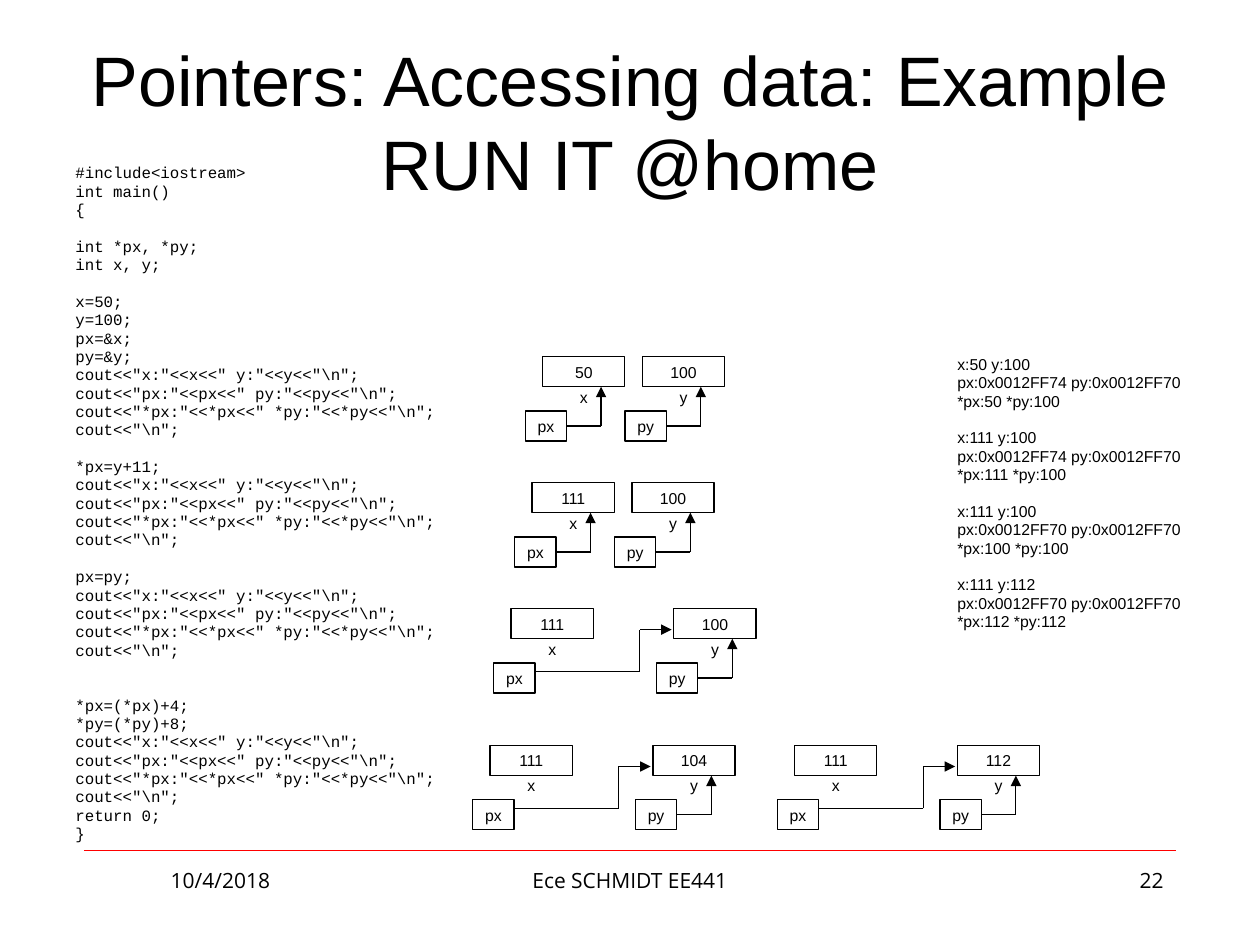
import pptx
import pptx.util
import pptx.dml.color
import pptx.enum.shapes
import pptx.enum.text
import pptx.oxml
import pptx.oxml.ns

Pt = pptx.util.Pt
ALIGN = pptx.enum.text.PP_ALIGN
ANCHOR = pptx.enum.text.MSO_ANCHOR
BLACK, RED = "000000", "FF0000"

# Content
TITLE = "Pointers: Accessing data: Example RUN IT @home"
PRINTS = [
    'cout<<"x:"<<x<<" y:"<<y<<"\\n";',
    'cout<<"px:"<<px<<" py:"<<py<<"\\n";',
    'cout<<"*px:"<<*px<<" *py:"<<*py<<"\\n";',
    'cout<<"\\n";',
]
# Each block: empty lines above it, then its lines
CODE = [
    (0, ["#include<iostream>", "int main()", "{"]),
    (1, ["int *px, *py;", "int x, y;"]),
    (1, ["x=50;", "y=100;", "px=&x;", "py=&y;"] + PRINTS),
    (1, ["*px=y+11;"] + PRINTS),
    (1, ["px=py;"] + PRINTS),
    (2, ["*px=(*px)+4;", "*py=(*py)+8;"] + PRINTS + ["return 0;", "}"]),
]
OUTPUT = [
    (0, ["x:50 y:100", "px:0x0012FF74 py:0x0012FF70", "*px:50 *py:100"]),
    (1, ["x:111 y:100", "px:0x0012FF74 py:0x0012FF70", "*px:111 *py:100"]),
    (1, ["x:111 y:100", "px:0x0012FF70 py:0x0012FF70", "*px:100 *py:100"]),
    (1, ["x:111 y:112", "px:0x0012FF70 py:0x0012FF70", "*px:112 *py:112"]),
]
# Memory states: left, top, value of x, value of y, whether px points to y
STATES = [
    (310.1, 203.8, "50", "100", False),
    (304.1, 275.8, "111", "100", False),
    (292.1, 347.8, "111", "100", True),
    (280.1, 426, "111", "104", True),
    (454.1, 426, "111", "112", True),
]
FOOTER = [
    (48, 156, "10/4/2018", ALIGN.CENTER),
    (246, 228, "Ece SCHMIDT EE441", ALIGN.CENTER),
    (516, 156, "22", ALIGN.RIGHT),
]

LINE_PITCH = 10.49
CELL_WIDTH, POINTER_WIDTH, BOX_HEIGHT = 47, 23.6, 17.2
POINTER_DX, POINTER_DY = -10, 31
NEAR_GAP, FAR_GAP = 57, 93

presentation = pptx.Presentation()
presentation.slide_width, presentation.slide_height = Pt(720), Pt(540)
slide = presentation.slides.add_slide(presentation.slide_layouts[5])


def color(value):
    return pptx.dml.color.RGBColor.from_string(value)


def add_run(paragraph, text, size, font):
    run = paragraph.add_run()
    run.text = text
    run.font.size = Pt(size)
    run.font.name = font
    run.font.color.rgb = color(BLACK)


def add_line(shapes, start, end, line_color=BLACK, width=0.75, arrow=False):
    line = shapes.add_connector(pptx.enum.shapes.MSO_CONNECTOR.STRAIGHT,
                                *(Pt(value) for value in start + end))
    line.line.color.rgb = color(line_color)
    line.line.width = Pt(width)
    if arrow:
        tail = pptx.oxml.parse_xml(
            '<a:tailEnd %s type="triangle"/>' % pptx.oxml.ns.nsdecls("a"))
        line.line._get_or_add_ln().append(tail)
    line._element.spPr.append(
        pptx.oxml.parse_xml("<a:effectLst %s/>" % pptx.oxml.ns.nsdecls("a")))


def add_path(shapes, points):
    """Connected segments with an arrowhead on the last one."""
    for index in range(len(points) - 1):
        add_line(shapes, points[index], points[index + 1],
                 arrow=index == len(points) - 2)


def add_label(shapes, left, top, width, height, text, boxed=True):
    position = [Pt(value) for value in (left, top, width, height)]
    if boxed:
        shape = shapes.add_shape(pptx.enum.shapes.MSO_SHAPE.RECTANGLE, *position)
        shape.shadow.inherit = False
        shape.fill.background()
        shape.line.color.rgb = color(BLACK)
        shape.line.width = Pt(0.75)
    else:
        shape = shapes.add_textbox(*position)
    frame = shape.text_frame
    frame.word_wrap = False
    frame.vertical_anchor = ANCHOR.MIDDLE
    frame.margin_left = frame.margin_right = 0
    frame.margin_top = frame.margin_bottom = 0
    frame.paragraphs[0].alignment = ALIGN.CENTER
    add_run(frame.paragraphs[0], text, 9, "Arial")


def add_listing(left, top, width, height, blocks, font, lines_above=0):
    box = slide.shapes.add_textbox(Pt(left), Pt(top), Pt(width), Pt(height))
    frame = box.text_frame
    frame.word_wrap = True
    frame.margin_top = Pt(3.6 + lines_above * LINE_PITCH)
    paragraph = frame.paragraphs[0]
    for block_index, (gap, lines) in enumerate(blocks):
        for line_index, text in enumerate(lines):
            if block_index or line_index:
                paragraph = frame.add_paragraph()
            paragraph.line_spacing = Pt(LINE_PITCH)
            paragraph.space_before = Pt(0 if line_index else gap * LINE_PITCH)
            add_run(paragraph, text, 9, font)


# Title
title = slide.shapes.title
title.left, title.top, title.width, title.height = Pt(36), Pt(21.6), Pt(648), Pt(90)
title_frame = title.text_frame
title_frame.auto_size = pptx.enum.text.MSO_AUTO_SIZE.NONE
title_frame.word_wrap = True
title_frame.vertical_anchor = ANCHOR.MIDDLE
title_frame.margin_top = Pt(7.6)
title_frame.paragraphs[0].alignment = ALIGN.CENTER
title_frame.paragraphs[0].line_spacing = Pt(48)
add_run(title_frame.paragraphs[0], TITLE, 40, "Arial")

# Program and its output
add_listing(36, 90, 312, 408, CODE, "Courier New")
add_listing(540, 126, 144, 356.4, OUTPUT, "Arial", lines_above=7)

# Memory diagrams
for left, top, x_value, y_value, px_to_y in STATES:
    shapes = slide.shapes.add_group_shape().shapes
    y_left = left + CELL_WIDTH + (FAR_GAP - CELL_WIDTH if px_to_y
                                  else NEAR_GAP - CELL_WIDTH)
    for name, value, cell_left in (("x", x_value, left), ("y", y_value, y_left)):
        pointer_left = cell_left + POINTER_DX
        pointer_right = pointer_left + POINTER_WIDTH
        cell_bottom = top + BOX_HEIGHT
        add_label(shapes, cell_left, top, CELL_WIDTH, BOX_HEIGHT, value)
        add_label(shapes, pointer_left, top + POINTER_DY, POINTER_WIDTH,
                  BOX_HEIGHT, "p" + name)
        add_label(shapes, cell_left, cell_bottom, CELL_WIDTH, 11.5, name, False)
        if name == "x" and px_to_y:
            start_y, end_y, turn_x = top + 36, top + 12, left + 73.5
            add_path(shapes, [(pointer_right, start_y), (turn_x, start_y),
                              (turn_x, end_y), (y_left - 1.3, end_y)])
        else:
            start_y, turn_x = top + 39.6, cell_left + 33.4
            add_path(shapes, [(pointer_right, start_y), (turn_x, start_y),
                              (turn_x, cell_bottom)])

# Footer
add_line(slide.shapes, (48, 486), (672, 486), RED, 0.25)
for left, width, text, alignment in FOOTER:
    box = slide.shapes.add_textbox(Pt(left), Pt(492), Pt(width), Pt(37.5))
    box.text_frame.word_wrap = True
    box.text_frame.paragraphs[0].alignment = alignment
    add_run(box.text_frame.paragraphs[0], text, 12, "Open Sans")

presentation.save("out.pptx")
